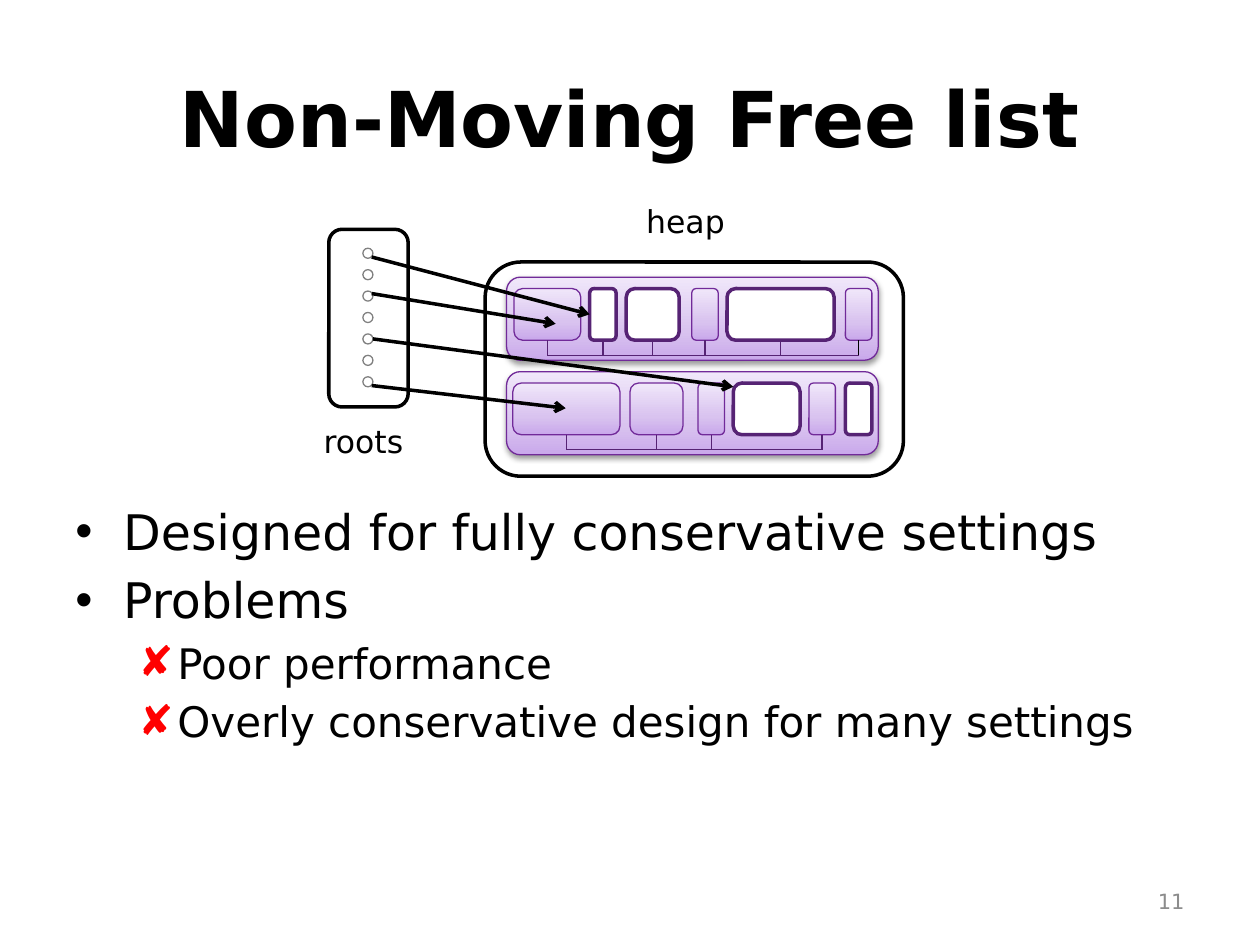
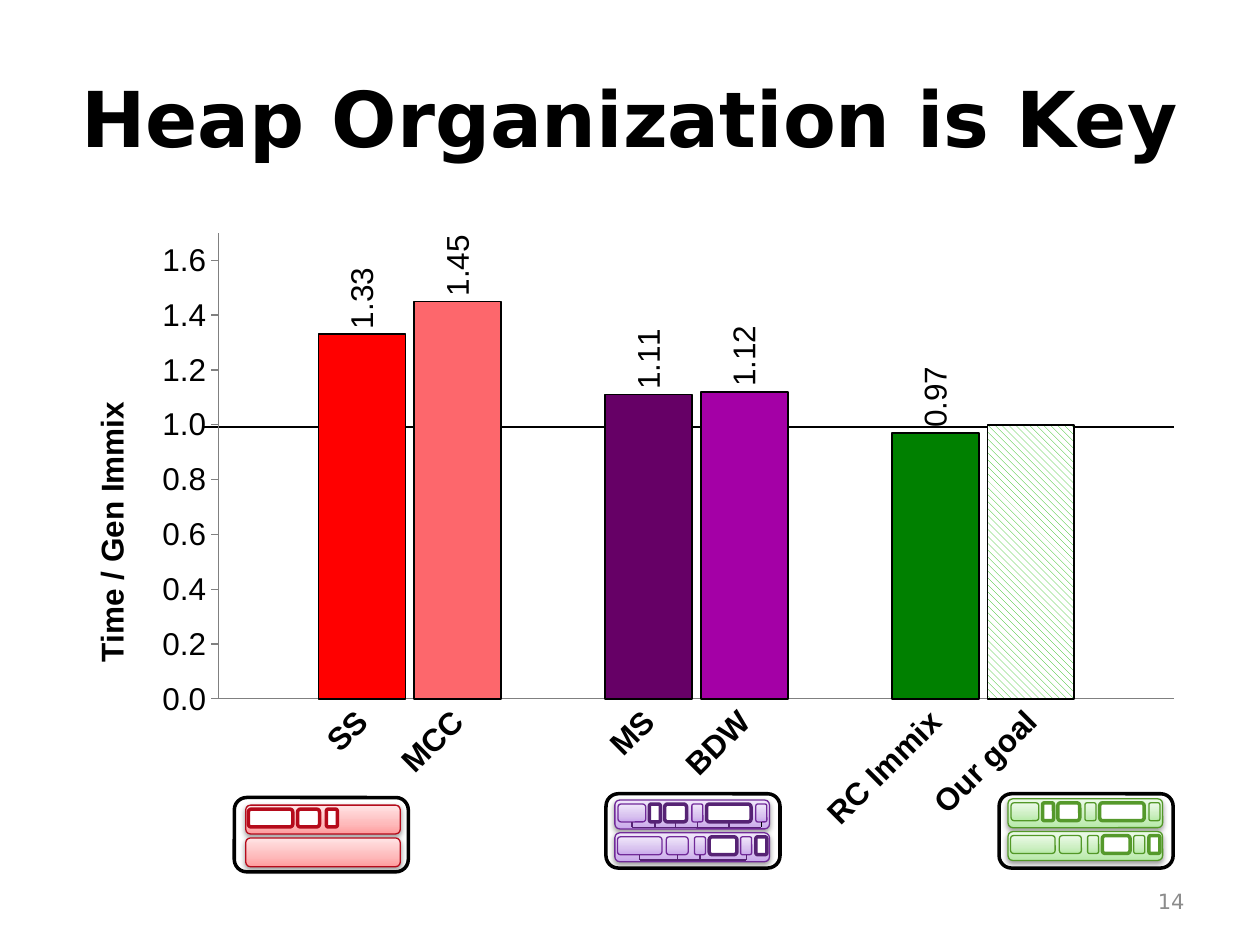
from dataclasses import dataclass

from lxml import etree
from pptx import Presentation
from pptx.chart.data import CategoryChartData
from pptx.dml.color import RGBColor
from pptx.enum.chart import XL_CHART_TYPE, XL_LABEL_POSITION, XL_TICK_MARK
from pptx.enum.dml import MSO_PATTERN
from pptx.enum.shapes import MSO_CONNECTOR, MSO_SHAPE
from pptx.enum.text import MSO_ANCHOR, PP_ALIGN
from pptx.oxml import parse_xml
from pptx.oxml.ns import nsdecls, qn
from pptx.util import Inches, Pt


@dataclass(frozen=True)
class Theme:
    font: str = "DejaVu Sans"
    chart_font: str = "Arial"
    black: str = "000000"
    white: str = "FFFFFF"
    gray: str = "808080"
    number_gray: str = "8C8C8C"
    cross_red: str = "FF0000"
    title_size: int = 44
    body_size: int = 28
    sub_size: int = 24
    label_size: int = 18
    number_size: int = 12
    thin: float = 0.75
    thick: float = 2


@dataclass(frozen=True)
class Palette:
    gradient: tuple
    edge: str
    free_edge: str


theme = Theme()
purple = Palette(("C9A8EB", "D9C3EF", "F0E7FA"), "712A99", "562374")
red = Palette(("FF9C9D", "FEBABB", "FFE4E5"), "B50B1B", "B50B1B")
green = Palette(("B7EAA8", "CDEFC3", "EBFAE7"), "529827", "55992B")


def add_box(shapes, kind, box, fill, edge, width, shadow=False):
    """Add an outlined shape; fill is one colour or three gradient colours."""
    shape = shapes.add_shape(kind, *map(Inches, box))
    shape.shadow.inherit = False
    properties = shape._element.spPr
    if isinstance(fill, tuple):
        shape.fill.gradient()
        shape.fill.gradient_angle = 90
        stops = properties.find(qn("a:gradFill")).find(qn("a:gsLst"))
        for stop in list(stops):
            stops.remove(stop)
        for position, color in zip((0, 35, 100), fill):
            stop = etree.SubElement(stops, qn("a:gs"), pos=str(position * 1000))
            etree.SubElement(stop, qn("a:srgbClr"), val=color)
    else:
        shape.fill.solid()
        shape.fill.fore_color.rgb = RGBColor.from_string(fill)
    shape.line.color.rgb = RGBColor.from_string(edge)
    shape.line.width = Pt(width)
    if shadow:
        outer = etree.SubElement(properties.find(qn("a:effectLst")), qn("a:outerShdw"),
                                 blurRad="40000", dist="20000", dir="5400000", rotWithShape="0")
        color = etree.SubElement(outer, qn("a:srgbClr"), val=theme.black)
        etree.SubElement(color, qn("a:alpha"), val="38000")
    return shape


def add_line(shapes, start, end, color, width, arrow=False):
    line = shapes.add_connector(MSO_CONNECTOR.STRAIGHT, *map(Inches, (*start, *end)))
    line.line.color.rgb = RGBColor.from_string(color)
    line.line.width = Pt(width)
    if arrow:
        etree.SubElement(line.line._get_or_add_ln(), qn("a:tailEnd"), type="arrow")
    etree.SubElement(line._element.spPr, qn("a:effectLst"))
    return line


presentation = Presentation()
presentation.slide_width = Inches(10)
presentation.slide_height = Inches(7.5)
blank = presentation.slide_layouts[6]
free_list_slide = presentation.slides.add_slide(blank)
chart_slide = presentation.slides.add_slide(blank)

# Titles, slide numbers and diagram labels
title_box, number_box = (0.5, 0.3, 9, 1.25), (7.17, 6.95, 2.33, 0.4)
title_style = (theme.title_size, theme.black, True, PP_ALIGN.CENTER)
number_style = (theme.number_size, theme.number_gray, False, PP_ALIGN.RIGHT)
label_style = (theme.label_size, theme.black, False, PP_ALIGN.LEFT)
texts = [
    (free_list_slide, title_box, "Non-Moving Free list", title_style),
    (free_list_slide, number_box, "11", number_style),
    (free_list_slide, (2.47, 3.29, 0.91, 0.42), "roots", label_style),
    (free_list_slide, (5.03, 1.54, 0.88, 0.42), "heap", label_style),
    (chart_slide, title_box, "Heap Organization is Key", title_style),
    (chart_slide, number_box, "14", number_style),
]
for slide, box, text, (size, color, bold, alignment) in texts:
    frame = slide.shapes.add_textbox(*map(Inches, box)).text_frame
    frame.word_wrap = True
    frame.vertical_anchor = MSO_ANCHOR.MIDDLE
    paragraph = frame.paragraphs[0]
    paragraph.alignment = alignment
    run = paragraph.add_run()
    run.text = text
    run.font.name = theme.font
    run.font.size = Pt(size)
    run.font.bold = bold
    run.font.color.rgb = RGBColor.from_string(color)

# Bullets below the heap diagram
main_bullet = (theme.body_size, "•", theme.black, 0.38, 0.38)
cross_bullet = (theme.sub_size, "✘", theme.cross_red, 0.81, 0.31)
bullets = [
    ("Designed for fully conservative settings", main_bullet, 0),
    ("Problems", main_bullet, 5.6),
    ("Poor performance", cross_bullet, 4.8),
    ("Overly conservative design for many settings", cross_bullet, 4.8),
]
body = free_list_slide.shapes.add_textbox(Inches(0.5), Inches(3.93), Inches(9), Inches(2.77))
body.text_frame.word_wrap = True
for index, (text, (size, mark, color, margin, hanging), space) in enumerate(bullets):
    paragraph = body.text_frame.paragraphs[0] if index == 0 else body.text_frame.add_paragraph()
    paragraph.space_before = Pt(space)
    paragraph.level = int(mark == "✘")
    properties = paragraph._p.get_or_add_pPr()
    properties.set("marL", str(Inches(margin)))
    properties.set("indent", str(-Inches(hanging)))
    bullet_color = etree.SubElement(properties, qn("a:buClr"))
    etree.SubElement(bullet_color, qn("a:srgbClr"), val=color)
    etree.SubElement(properties, qn("a:buFont"), typeface="Arial")
    etree.SubElement(properties, qn("a:buChar"), char=mark)
    run = paragraph.add_run()
    run.text = text
    run.font.name = theme.font
    run.font.size = Pt(size)
    run.font.color.rgb = RGBColor.from_string(theme.black)

# Chart with its reference line at the Gen Immix level
add_line(chart_slide.shapes, (1.61, 3.39), (9.32, 3.39), theme.black, 1)
bars = [
    ("", None, None), ("SS", 1.33, "FF0000"), ("MCC", 1.45, "FD676C"),
    ("", None, None), ("MS", 1.11, "660066"), ("BDW", 1.12, "A400A6"),
    ("", None, None), ("RC Immix", 0.97, "008000"), ("Our goal", 1, None),
    ("", None, None),
]
goal_index = 8
chart_data = CategoryChartData()
chart_data.categories = [name for name, value, color in bars]
chart_data.add_series("Series 1", [value for name, value, color in bars])
chart = chart_slide.shapes.add_chart(
    XL_CHART_TYPE.COLUMN_CLUSTERED, Inches(0.5), Inches(1.75), Inches(9), Inches(4.95), chart_data
).chart
chart.has_legend = False
chart.has_title = False
chart.font.name = theme.chart_font
chart.font.size = Pt(theme.label_size)
chart.font.color.rgb = RGBColor.from_string(theme.black)
plot = chart.plots[0]
plot.gap_width = 10
plot.overlap = 100
plot.vary_by_categories = False
series = plot.series[0]
for index, (name, value, color) in enumerate(bars):
    if value is None:
        continue
    bar = series.points[index].format
    if index == goal_index:
        bar.fill.patterned()
        bar.fill.pattern = MSO_PATTERN.WIDE_DOWNWARD_DIAGONAL
        bar.fill.fore_color.rgb = RGBColor.from_string("18B703")
        bar.fill.back_color.rgb = RGBColor.from_string(theme.white)
    else:
        bar.fill.solid()
        bar.fill.fore_color.rgb = RGBColor.from_string(color)
    bar.line.color.rgb = RGBColor.from_string(theme.black)
    bar.line.width = Pt(1)

labels = series.data_labels
labels.show_value = True
labels.number_format = "0.00"
labels.number_format_is_linked = False
labels.position = XL_LABEL_POSITION.OUTSIDE_END
labels.font.size = Pt(theme.label_size)
labels._element.insert(0, parse_xml(
    f'<c:dLbl {nsdecls("c")}><c:idx val="{goal_index}"/><c:delete val="1"/></c:dLbl>'))

category_axis, value_axis = chart.category_axis, chart.value_axis
for axis in (category_axis, value_axis):
    axis.has_major_gridlines = False
    axis.minor_tick_mark = XL_TICK_MARK.NONE
    axis.format.line.color.rgb = RGBColor.from_string(theme.gray)
    axis.format.line.width = Pt(theme.thin)
    axis.tick_labels.font.size = Pt(theme.label_size)
category_axis.major_tick_mark = XL_TICK_MARK.NONE
category_axis.tick_labels.font.bold = True
value_axis.major_tick_mark = XL_TICK_MARK.OUTSIDE
value_axis.minimum_scale = 0
value_axis.maximum_scale = 1.7
value_axis.major_unit = 0.2
value_axis.tick_labels.number_format = "0.0"
value_axis.tick_labels.number_format_is_linked = False
axis_title = value_axis.axis_title
run = axis_title.text_frame.paragraphs[0].add_run()
run.text = "Time / Gen Immix"
run.font.name = theme.chart_font
run.font.size = Pt(theme.label_size)
run.font.bold = True
run.font.color.rgb = RGBColor.from_string(theme.black)

for owner, degrees in ((labels._element, -90), (category_axis._element, -45), (axis_title._element, -90)):
    text_body = next(owner.iter(qn("a:bodyPr")))
    text_body.set("rot", str(degrees * 60000))
    text_body.set("vert", "horz")

# Clear backgrounds keep the reference line visible behind the bars
no_fill = f'<c:spPr {nsdecls("c", "a")}><a:noFill/><a:ln><a:noFill/></a:ln></c:spPr>'
chart._chartSpace.chart.plotArea.append(parse_xml(no_fill))
chart._chartSpace.find(qn("c:txPr")).addprevious(parse_xml(no_fill))

# Root set
roots = free_list_slide.shapes.add_group_shape().shapes
add_box(roots, MSO_SHAPE.ROUNDED_RECTANGLE, (2.61, 1.82, 0.63, 1.41),
        theme.white, theme.black, theme.thick)
for index in range(7):
    add_box(roots, MSO_SHAPE.OVAL, (2.88, 1.97 + 0.17 * index, 0.08, 0.08),
            theme.white, theme.gray, theme.thin)

# Heaps: cells are (offset, width, free) inside a full-size row
free_list_rows = [
    [(0.06, 0.53, False), (0.66, 0.21, True), (0.95, 0.42, True),
     (1.47, 0.21, False), (1.75, 0.85, True), (2.69, 0.21, False)],
    [(0.05, 0.85, False), (0.98, 0.42, False), (1.52, 0.21, False),
     (1.8, 0.53, True), (2.4, 0.21, False), (2.69, 0.21, True)],
]
copying_rows = [[(0.05, 0.85, True), (0.99, 0.42, True), (1.54, 0.21, True)], []]
full_size, small_size = (1, 1), (0.416, 0.347)
heaps = [
    # slide, frame corner, first row corner, scale, palette, rows, has free list
    (free_list_slide, (3.85, 2.08), (4.02, 2.2), full_size, purple, free_list_rows, True),
    (chart_slide, (1.86, 6.33), (1.95, 6.39), small_size, red, copying_rows, False),
    (chart_slide, (4.81, 6.3), (4.88, 6.35), small_size, purple, free_list_rows, True),
    (chart_slide, (7.93, 6.3), (8, 6.34), small_size, green, free_list_rows, False),
]
cells = {}
for heap_index, (slide, corner, (left, first_top), (wide, high), palette, rows, linked) in enumerate(heaps):
    heap = slide.shapes.add_group_shape().shapes
    add_box(heap, MSO_SHAPE.ROUNDED_RECTANGLE, (*corner, 3.32 * wide, 1.7 * high),
            theme.white, theme.black, theme.thick)
    for row_index, row in enumerate(rows):
        top = first_top + 0.75 * high * row_index
        add_box(heap, MSO_SHAPE.ROUNDED_RECTANGLE, (left, top, 2.95 * wide, 0.66 * high),
                palette.gradient, palette.edge, theme.thin, shadow=True)
        rail = top + 0.62 * high
        stems = []
        for cell_index, (offset, width, free) in enumerate(row):
            fill, edge, weight = ((theme.white, palette.free_edge, theme.thick) if free
                                  else (palette.gradient, palette.edge, theme.thin))
            cell = add_box(heap, MSO_SHAPE.ROUNDED_RECTANGLE,
                           (left + offset * wide, top + 0.09 * high, width * wide, 0.41 * high),
                           fill, edge, weight)
            cells[heap_index, row_index, cell_index] = cell
            if linked and (row_index == 0 or not free):
                middle = left + (offset + width / 2) * wide
                last = (row_index, cell_index) == (0, len(row) - 1)
                stem = add_line(heap, (middle, top + 0.5 * high), (middle, rail),
                                theme.black if last else palette.free_edge, theme.thin)
                stem.begin_connect(cell, 2)
                stems.append(middle)
        if stems:
            add_line(heap, (stems[0], rail), (stems[-1], rail), palette.free_edge, theme.thin)

# References from the roots into the heap
references = [
    ((2.95, 2.04), (4.68, 2.49), cells[0, 0, 1]),
    ((2.96, 2.69), (5.82, 3.07), None),
    ((2.95, 2.33), (4.41, 2.57), None),
    ((2.95, 3.06), (4.49, 3.24), None),
]
for start, end, target in references:
    reference = add_line(free_list_slide.shapes, start, end, theme.black, theme.thick, arrow=True)
    if target is not None:
        reference.end_connect(target, 1)

presentation.save("out.pptx")
